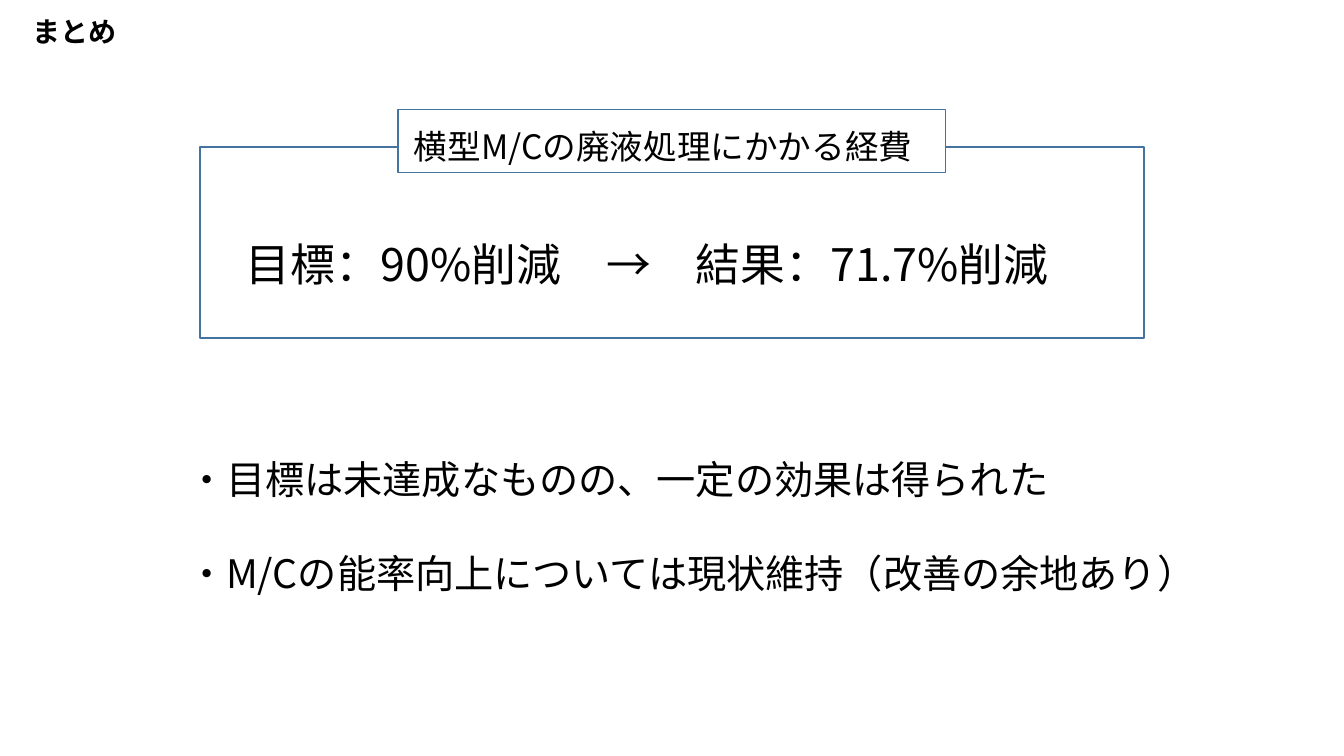
import pptx
import pptx.util
import pptx.dml.color
import pptx.enum.shapes
import pptx.enum.text
import lxml.etree

# Content
HEADING = "まとめ"
LABEL = "横型M/Cの廃液処理にかかる経費"
RESULT = "目標：90%削減　→　結果：71.7%削減"
CONCLUSIONS = [
    "・目標は未達成なものの、一定の効果は得られた",
    "・M/Cの能率向上については現状維持（改善の余地あり）",
]

# Places in px: left, top, width, height
SLIDE_SIZE = (1344, 756)
HEADING_BOX = (22, 13, 106, 40)
FRAME_BOX = (200, 147, 944, 191)
RESULT_BOX = (236, 211, 872, 79)
LABEL_BOX = (398, 110, 548, 63)
CONCLUSIONS_BOX = (177, 411, 1057, 183)
LABEL_INSETS = (16, 0, 16, 12)

FONT = "Noto Sans CJK JP"
BLACK = pptx.dml.color.RGBColor(0x00, 0x00, 0x00)
WHITE = pptx.dml.color.RGBColor(0xFF, 0xFF, 0xFF)
BLUE = pptx.dml.color.RGBColor(0x43, 0x73, 0x9E)
DRAWING_NS = "{http://schemas.openxmlformats.org/drawingml/2006/main}"


def px(length):
    return pptx.util.Emu(round(length * 914400 / 100.8))


def place(shape, box):
    shape.left, shape.top, shape.width, shape.height = map(px, box)


def write(shape, lines, size, spacing, bold=False):
    frame = shape.text_frame
    frame.text = "\n".join(lines)
    frame.word_wrap = False
    frame.auto_size = pptx.enum.text.MSO_AUTO_SIZE.SHAPE_TO_FIT_TEXT
    frame.vertical_anchor = pptx.enum.text.MSO_ANCHOR.MIDDLE
    for paragraph in frame.paragraphs:
        paragraph.alignment = pptx.enum.text.PP_ALIGN.LEFT
        paragraph.line_spacing = spacing
        paragraph.space_before = pptx.util.Pt(0)
        for run in paragraph.runs:
            run.font.size = pptx.util.Pt(size)
            run.font.bold = bold
            run.font.color.rgb = BLACK
            run.font.name = FONT
            east_asian = lxml.etree.Element(DRAWING_NS + "ea", typeface=FONT)
            run.font._element.find(DRAWING_NS + "latin").addnext(east_asian)


def add_box(slide, box, line_width):
    rectangle = slide.shapes.add_shape(
        pptx.enum.shapes.MSO_SHAPE.RECTANGLE, *map(px, box))
    rectangle.shadow.inherit = False
    rectangle.line.color.rgb = BLUE
    rectangle.line.width = pptx.util.Pt(line_width)
    return rectangle


def main():
    deck = pptx.Presentation()
    deck.slide_width, deck.slide_height = map(px, SLIDE_SIZE)
    slide = deck.slides.add_slide(deck.slide_layouts[1])

    # Heading
    heading = slide.shapes.title
    place(heading, HEADING_BOX)
    write(heading, [HEADING], 20, 0.9, bold=True)

    # Framed result
    frame = add_box(slide, FRAME_BOX, 1)
    frame.fill.background()
    result = slide.shapes.add_textbox(*map(px, RESULT_BOX))
    write(result, [RESULT], 32, 1.5)

    # Label over the frame's top edge
    label = add_box(slide, LABEL_BOX, 0.75)
    label.fill.solid()
    label.fill.fore_color.rgb = WHITE
    write(label, [LABEL], 24, 1.5)
    text = label.text_frame
    (text.margin_left, text.margin_top,
     text.margin_right, text.margin_bottom) = map(px, LABEL_INSETS)

    # Conclusions, whose dots are part of the text
    conclusions = slide.placeholders[1]
    place(conclusions, CONCLUSIONS_BOX)
    write(conclusions, CONCLUSIONS, 28, 2.0)
    for paragraph in conclusions.text_frame.paragraphs:
        properties = paragraph._p.get_or_add_pPr()
        properties.set("marL", "0")
        properties.set("indent", "0")
        lxml.etree.SubElement(properties, DRAWING_NS + "buNone")

    deck.save("out.pptx")


if __name__ == "__main__":
    main()
